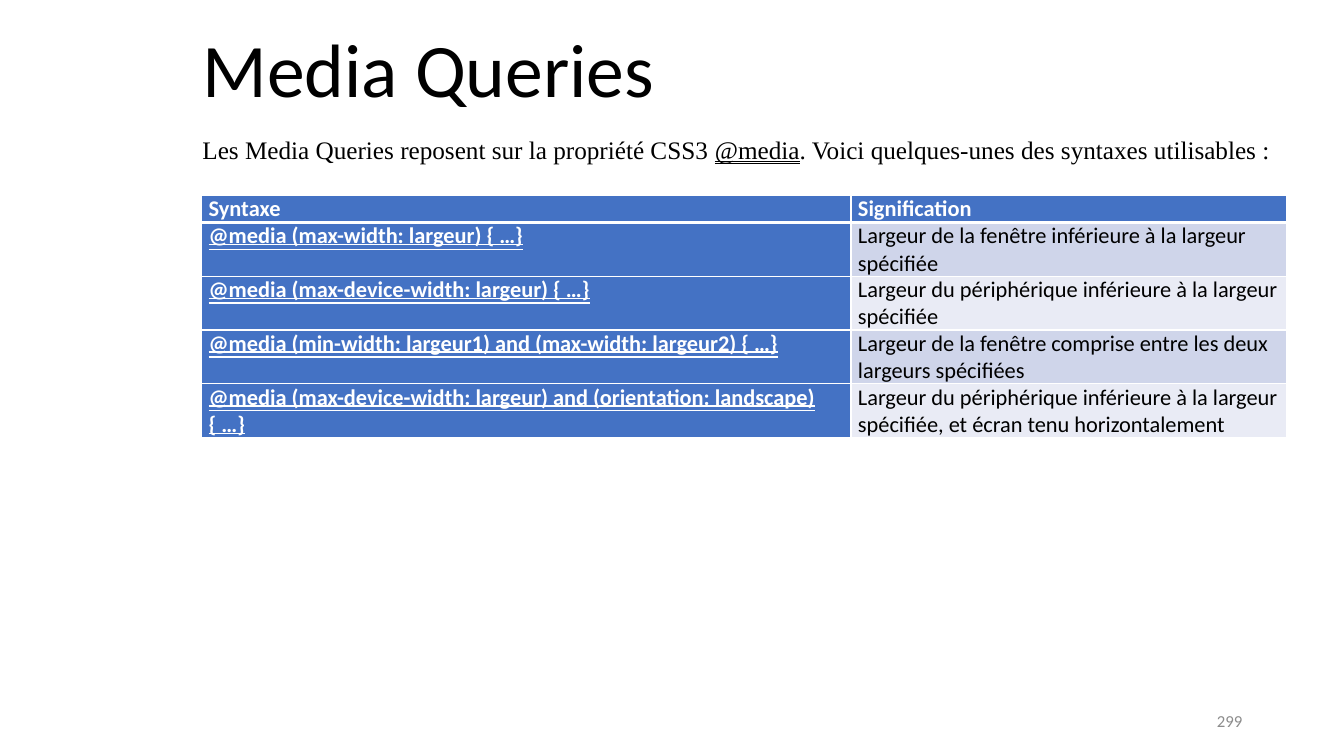
import pptx
import pptx.util
import pptx.dml.color
import pptx.enum.text
import pptx.oxml
import pptx.oxml.ns
from lxml import etree

Inches, Pt = pptx.util.Inches, pptx.util.Pt
RGBColor = pptx.dml.color.RGBColor
PP_ALIGN, MSO_ANCHOR = pptx.enum.text.PP_ALIGN, pptx.enum.text.MSO_ANCHOR
DOUBLE = pptx.enum.text.MSO_UNDERLINE.DOUBLE_LINE
qn = pptx.oxml.ns.qn

# Content
TITLE = "Media Queries"
INTRO = [
    ("Les Media Queries reposent sur la propriété CSS3 ", None),
    ("@media", DOUBLE),
    (". Voici quelques-unes des syntaxes utilisables\u00a0:", None),
]
SYNTAXES = [
    ("Syntaxe", "Signification"),
    ("@media (max-width: largeur) { …}",
     "Largeur de la fenêtre inférieure à la largeur spécifiée"),
    ("@media (max-device-width: largeur) { …}",
     "Largeur du périphérique inférieure à la largeur spécifiée"),
    ("@media (min-width: largeur1) and (max-width: largeur2) { …}",
     "Largeur de la fenêtre comprise entre les deux largeurs spécifiées"),
    ("@media (max-device-width: largeur) and (orientation: landscape) { …}",
     "Largeur du périphérique inférieure à la largeur spécifiée, et écran tenu horizontalement"),
]
PAGE = "299"

# Colours and measures
BLACK = RGBColor(0x00, 0x00, 0x00)
WHITE = RGBColor(0xFF, 0xFF, 0xFF)
BLUE = RGBColor(0x44, 0x72, 0xC4)
BANDS = [RGBColor(0xCF, 0xD5, 0xEA), RGBColor(0xE9, 0xEB, 0xF5)]
GREY = RGBColor(0x8C, 0x8C, 0x8C)
COLUMN_WIDTHS = [6.44, 4.32]
HEADER_HEIGHT, ROW_HEIGHT = 0.26, 0.53


def format_run(run, size, color, font="Calibri", bold=False, underline=None):
    run.font.size = Pt(size)
    run.font.color.rgb = color
    run.font.name = font
    run.font.bold = bold
    run.font.underline = underline


def set_borders(cell, bottom_width):
    """White lines on all sides; they must come before the cell fill."""
    properties = cell._tc.get_or_add_tcPr()
    widths = {"a:lnL": 1, "a:lnR": 1, "a:lnT": 1, "a:lnB": bottom_width}
    for side, width in widths.items():
        line = etree.SubElement(properties, qn(side), w=str(Pt(width)))
        fill = etree.SubElement(line, qn("a:solidFill"))
        etree.SubElement(fill, qn("a:srgbClr"), val=str(WHITE))


deck = pptx.Presentation()
deck.slide_width, deck.slide_height = Inches(13.33), Inches(7.5)
slide = deck.slides.add_slide(deck.slide_layouts[5])

# Title
title = slide.shapes.title
title.left, title.top = Inches(1.91), Inches(0.17)
title.width, title.height = Inches(11.14), Inches(1.01)
title.text_frame.text = TITLE
title.text_frame.auto_size = pptx.enum.text.MSO_AUTO_SIZE.NONE
title.text_frame.vertical_anchor = MSO_ANCHOR.TOP
title.text_frame.paragraphs[0].alignment = PP_ALIGN.LEFT
format_run(title.text_frame.paragraphs[0].runs[0], 54, BLACK)

# Introductory sentence
intro = slide.shapes.add_textbox(Inches(1.91), Inches(1.28), Inches(11.14), Inches(0.4))
intro.text_frame.word_wrap = True
for words, underline in INTRO:
    run = intro.text_frame.paragraphs[0].add_run()
    run.text = words
    format_run(run, 18, BLACK, "Times New Roman", underline=underline)

# Table of syntaxes
table_height = HEADER_HEIGHT + ROW_HEIGHT * (len(SYNTAXES) - 1)
syntaxes = slide.shapes.add_table(
    len(SYNTAXES), len(COLUMN_WIDTHS), Inches(2), Inches(1.94),
    Inches(sum(COLUMN_WIDTHS)), Inches(table_height)).table
syntaxes.first_col = True
for column, width in zip(syntaxes.columns, COLUMN_WIDTHS):
    column.width = Inches(width)

for r, entries in enumerate(SYNTAXES):
    is_header = r == 0
    syntaxes.rows[r].height = Inches(HEADER_HEIGHT if is_header else ROW_HEIGHT)
    for c, entry in enumerate(entries):
        cell = syntaxes.cell(r, c)
        is_heading = is_header or c == 0
        cell.margin_left = cell.margin_right = Inches(0.07)
        cell.margin_top = cell.margin_bottom = 0
        set_borders(cell, 3 if is_header else 1)
        cell.fill.solid()
        cell.fill.fore_color.rgb = BLUE if is_heading else BANDS[(r - 1) % 2]
        cell.text_frame.text = entry
        format_run(cell.text_frame.paragraphs[0].runs[0], 16,
                   WHITE if is_heading else BLACK, bold=is_heading,
                   underline=DOUBLE if c == 0 and not is_header else None)

# Page number
page = slide.shapes.add_textbox(Inches(9.42), Inches(6.95), Inches(3), Inches(0.4))
page.text_frame.word_wrap = True
page.text_frame.vertical_anchor = MSO_ANCHOR.MIDDLE
page.text_frame.text = PAGE
page.text_frame.paragraphs[0].alignment = PP_ALIGN.RIGHT
format_run(page.text_frame.paragraphs[0].runs[0], 12, GREY)

deck.save("out.pptx")
